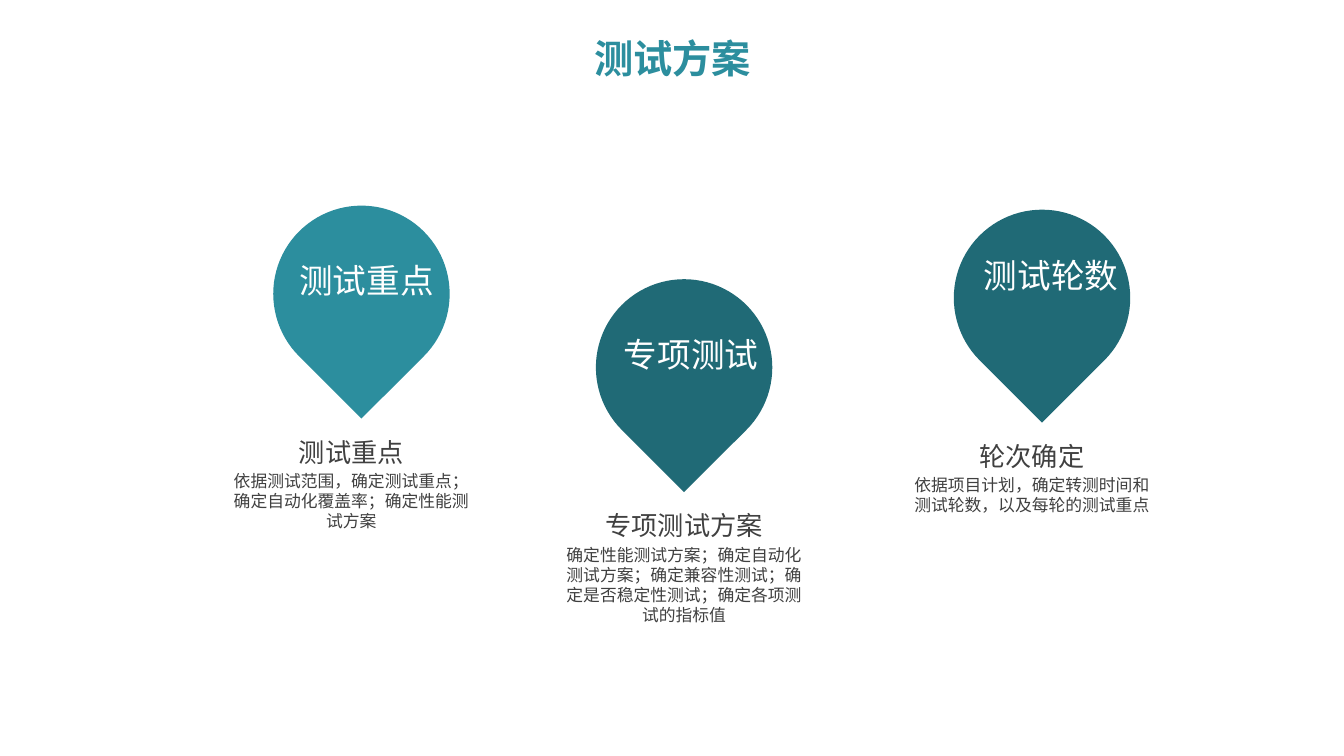
from dataclasses import dataclass

from pptx import Presentation
from pptx import util as u
from pptx.dml.color import RGBColor
from pptx.enum import shapes, text

COLORS = {"teal": "2C8E9E", "deep_teal": "206A76", "white": "FFFFFF", "ink": "404040"}
PIN_SIZE = 1.75
BODY_WIDTH = 2.6
HEADING_DROP, BODY_DROP = 2.08, 2.58  # below the top of the pin
CHAR_SIDE_MARGINS = 0.2


@dataclass(frozen=True)
class TestTopic:
    label: str
    heading: str
    body: str
    color: str
    left: float
    top: float
    label_dx: float
    label_dy: float
    caption_shift: float  # caption centre relative to pin centre
    body_height: float


@dataclass(frozen=True)
class TextStyle:
    size: float
    color: str
    font: str = "Arial"
    bold: bool = False
    align: text.PP_ALIGN = text.PP_ALIGN.CENTER
    spacing: float = 1.0


TITLE = TextStyle(28, "teal", "Montserrat", bold=True, spacing=0.9)
LABEL = TextStyle(24, "white", align=text.PP_ALIGN.LEFT)
HEADING = TextStyle(18.7, "ink", spacing=1.5)
BODY = TextStyle(12, "ink")

TOPICS = [
    TestTopic("测试重点", "测试重点",
              "依据测试范围，确定测试重点；确定自动化覆盖率；确定性能测试方案",
              "teal", 2.71, 2.04, 0.16, 0.49, -0.1, 0.71),
    TestTopic("专项测试", "专项测试方案",
              "确定性能测试方案；确定自动化测试方案；确定兼容性测试；"
              "确定是否稳定性测试；确定各项测试的指标值",
              "deep_teal", 5.91, 2.77, 0.18, 0.49, 0, 0.91),
    TestTopic("测试轮数", "轮次确定",
              "依据项目计划，确定转测时间和测试轮数，以及每轮的测试重点",
              "deep_teal", 9.46, 2.08, 0.2, 0.4, -0.1, 0.5),
]


def write(frame, words: str, style: TextStyle) -> None:
    paragraph = frame.paragraphs[0]
    paragraph.alignment = style.align
    paragraph.line_spacing = style.spacing
    run = paragraph.add_run()
    run.text = words
    run.font.name = style.font
    run.font.size = u.Pt(style.size)
    run.font.bold = style.bold
    run.font.color.rgb = RGBColor.from_string(COLORS[style.color])


def add_text(slide, words: str, style: TextStyle, left: float, top: float,
             width: float, height: float, wrap: bool = False) -> None:
    frame = slide.shapes.add_textbox(
        u.Inches(left), u.Inches(top), u.Inches(width), u.Inches(height)).text_frame
    frame.word_wrap = wrap
    frame.auto_size = text.MSO_AUTO_SIZE.SHAPE_TO_FIT_TEXT
    write(frame, words, style)


def line_width(words: str, style: TextStyle) -> float:
    """Width of a one-line box: full-width characters plus side margins."""
    return len(words) * style.size / 72 + CHAR_SIDE_MARGINS


def add_topic(slide, topic: TestTopic) -> None:
    # Caption below the pin
    centre = topic.left + PIN_SIZE / 2 + topic.caption_shift
    add_text(slide, topic.body, BODY, centre - BODY_WIDTH / 2,
             topic.top + BODY_DROP, BODY_WIDTH, topic.body_height, wrap=True)
    heading_width = line_width(topic.heading, HEADING)
    add_text(slide, topic.heading, HEADING, centre - heading_width / 2,
             topic.top + HEADING_DROP, heading_width, 0.52)

    # Pin pointing down
    pin = slide.shapes.add_shape(
        shapes.MSO_SHAPE.TEAR, u.Inches(topic.left), u.Inches(topic.top),
        u.Inches(PIN_SIZE), u.Inches(PIN_SIZE))
    pin.rotation = 135
    pin.shadow.inherit = False
    pin.fill.solid()
    pin.fill.fore_color.rgb = RGBColor.from_string(COLORS[topic.color])
    pin.line.fill.background()

    # Label on the pin
    add_text(slide, topic.label, LABEL, topic.left + topic.label_dx,
             topic.top + topic.label_dy, line_width(topic.label, LABEL), 0.5)


def main() -> None:
    deck = Presentation()
    deck.slide_width, deck.slide_height = u.Inches(13.33), u.Inches(7.5)
    slide = deck.slides.add_slide(deck.slide_layouts[5])

    # Title
    title = slide.shapes.title
    title.left, title.top = u.Inches(0.92), u.Inches(0.23)
    title.width, title.height = u.Inches(11.5), u.Inches(0.75)
    title.text_frame.vertical_anchor = text.MSO_ANCHOR.MIDDLE
    write(title.text_frame, "测试方案", TITLE)

    # Three test topics
    for topic in TOPICS:
        add_topic(slide, topic)

    deck.save("out.pptx")


if __name__ == "__main__":
    main()
